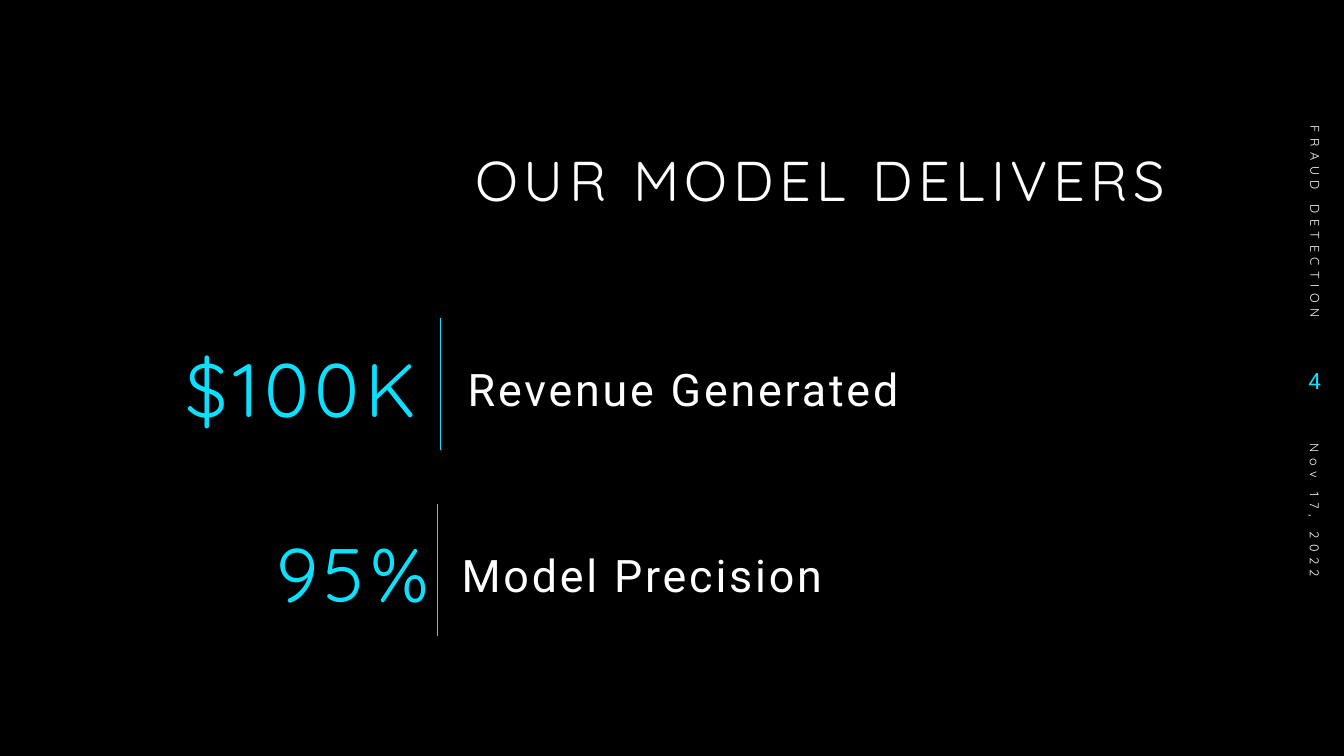
from lxml.etree import SubElement
from pptx import Presentation
from pptx.dml.color import RGBColor
from pptx.enum.shapes import MSO_CONNECTOR
from pptx.enum.text import MSO_ANCHOR, MSO_AUTO_SIZE, PP_ALIGN
from pptx.oxml.ns import qn
from pptx.util import Inches, Pt

# Content
TITLE = ("OUR MODEL DELIVERS", (4.54, 1.47, 7.2, 1))
# text, box, style
FACTS = [
    ("$100K", (1.74, 3, 4.38, 1.79), "figure"),
    ("Revenue Generated", (4.54, 3.57, 6.07, 0.63), "label"),
    ("95%", (2.64, 4.84, 2.98, 1.79), "figure"),
    ("Model Precision", (4.48, 5.41, 6.07, 0.65), "label"),
]
# text, box, style, turn
MARGIN = [
    ("FRAUD DETECTION", (11.53, 1.54, 3.03, 0.4), "footer", 90),
    ("4", (12.6, 3.46, 0.6, 0.63), "number", 0),
    ("Nov 17, 2022", (11.59, 5.55, 2.9, 0.4), "date", 90),
]
RULES = [(4.37, 3.15), (4.34, 5)]
RULE_H = 1.31

# Formats
CYAN, WHITE, BLACK = "0BE1FF", "FFFFFF", "000000"
SMALL = {"name": "Quicksand", "size": Pt(9)}
# font values, colour, letter spacing, paragraph values
STYLES = {
    "title": ({"name": "Quicksand", "size": Pt(40)}, WHITE, 4,
              {"alignment": PP_ALIGN.CENTER, "line_spacing": 0.9}),
    "figure": ({"name": "Quicksand", "size": Pt(54)}, CYAN, 4,
               {"line_spacing": 0.9}),
    "label": ({"name": "Roboto", "size": Pt(32)}, WHITE, 2,
              {"line_spacing": 0.9}),
    "footer": (SMALL, WHITE, 4, {"alignment": PP_ALIGN.RIGHT}),
    "number": ({"name": "Roboto", "size": Pt(16)}, CYAN, 0,
               {"alignment": PP_ALIGN.RIGHT}),
    "date": (SMALL, WHITE, 4, {"alignment": PP_ALIGN.LEFT}),
}


def color(code):
    return RGBColor.from_string(code)


def assign(target, values):
    for key, value in values.items():
        setattr(target, key, value)


def write(shape, text, style, anchor=MSO_ANCHOR.MIDDLE):
    font, ink, gap, layout = STYLES[style]
    frame = shape.text_frame
    assign(frame, {"word_wrap": True, "auto_size": MSO_AUTO_SIZE.NONE,
                   "vertical_anchor": anchor})
    para = frame.paragraphs[0]
    assign(para, layout)
    run = para.add_run()
    run.text = text
    assign(run.font, font)
    run.font.color.rgb = color(ink)
    if gap:
        run._r.get_or_add_rPr().set("spc", str(gap * 100))


def add_text(slide, text, box, style, turn=0):
    shape = slide.shapes.add_textbox(*map(Inches, box))
    shape.rotation = turn
    write(shape, text, style)


def add_rule(slide, x, y):
    line = slide.shapes.add_connector(
        MSO_CONNECTOR.STRAIGHT,
        Inches(x), Inches(y), Inches(x), Inches(y + RULE_H))
    line.line.color.rgb = color(CYAN)
    line.line.width = Pt(0.5)
    SubElement(line._element.spPr, qn("a:effectLst"))


def main():
    deck = Presentation()
    deck.slide_width, deck.slide_height = Inches(13.33), Inches(7.5)
    slide = deck.slides.add_slide(deck.slide_layouts[5])
    fill = slide.background.fill
    fill.solid()
    fill.fore_color.rgb = color(BLACK)

    # Title
    text, box = TITLE
    title = slide.shapes.title
    assign(title, dict(zip(("left", "top", "width", "height"),
                           map(Inches, box))))
    write(title, text, "title", MSO_ANCHOR.TOP)

    # Figures, labels and margin notes
    for item in FACTS + MARGIN:
        add_text(slide, *item)

    # Upright rules
    for x, y in RULES:
        add_rule(slide, x, y)

    deck.save("out.pptx")


if __name__ == "__main__":
    main()
